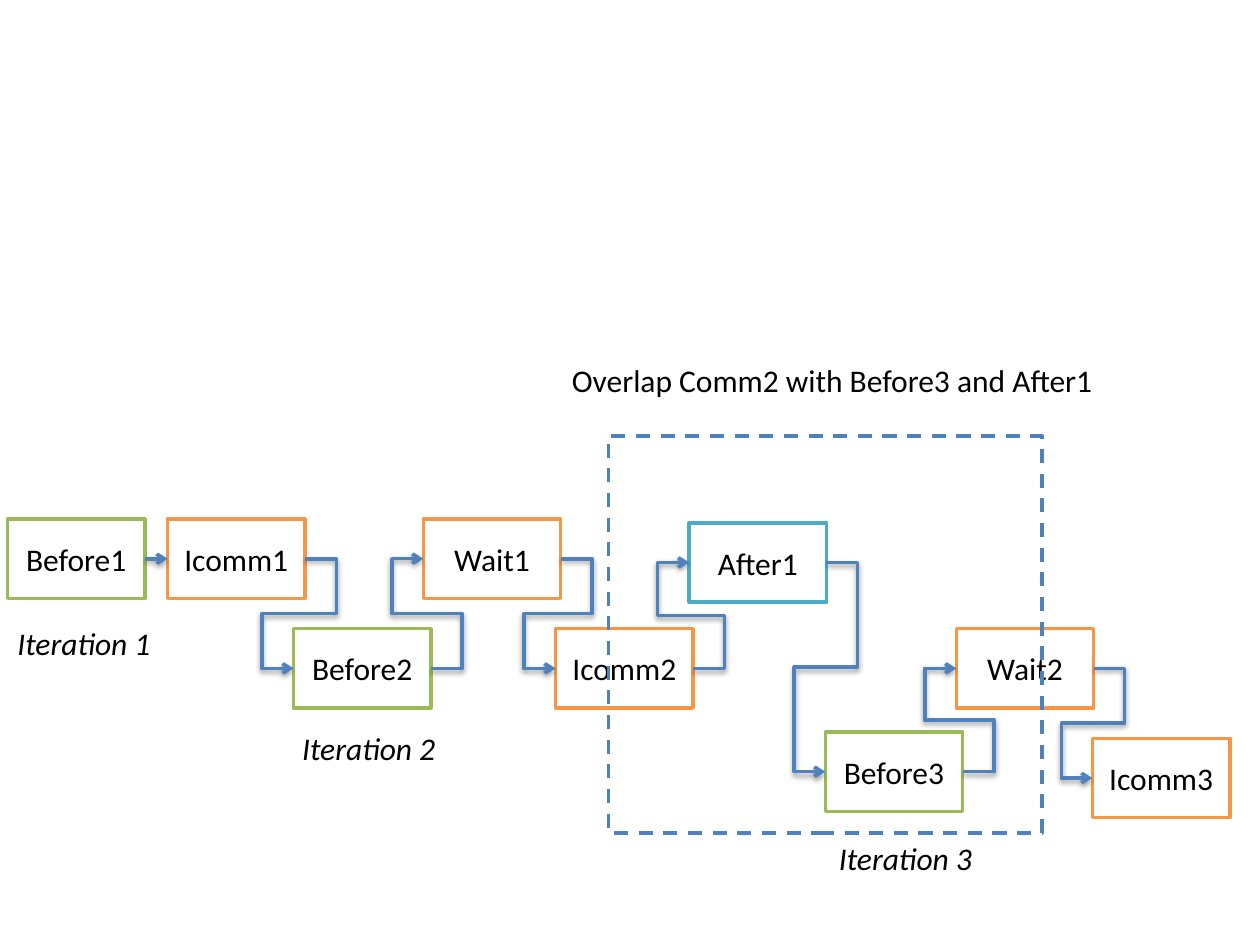
from dataclasses import dataclass

from lxml.etree import SubElement
from pptx import Presentation
from pptx.dml.color import RGBColor
from pptx.enum.dml import MSO_LINE
from pptx.enum.shapes import MSO_CONNECTOR as Connector, MSO_SHAPE as Shape
from pptx.enum.text import MSO_ANCHOR as Anchor, MSO_AUTO_SIZE as AutoSize, PP_ALIGN as Align
from pptx.oxml.ns import qn
from pptx.util import Inches, Pt


@dataclass(frozen=True)
class Theme:
    """Colours, type and line sizes of the slide."""
    font: str = "Calibri"
    size: int = 18
    line: int = 2
    text: str = "000000"
    flow: str = "4F81BD"
    before: str = "9BBB59"
    comm: str = "F79646"
    after: str = "4BACC6"


THEME = Theme()
SLIDE_SIZE = (10, 7.5)
BOX_SIZE = (1.09, 0.63)
STUB = 0.25  # how far an elbow runs out beside a box
LEFT, RIGHT = 1, 3  # connection sites of a rectangle

# Steps in the order they run: name, left, top, colour
STEPS = [
    ("Before1", 0.06, 4.12, THEME.before),
    ("Icomm1", 1.33, 4.12, THEME.comm),
    ("Before2", 2.33, 4.99, THEME.before),
    ("Wait1", 3.36, 4.12, THEME.comm),
    ("Icomm2", 4.41, 4.99, THEME.comm),
    ("After1", 5.47, 4.15, THEME.after),
    ("Before3", 6.55, 5.81, THEME.before),
    ("Wait2", 7.59, 4.99, THEME.comm),
    ("Icomm3", 8.67, 5.86, THEME.comm),
]
OVERLAP_FRAME = (4.83, 3.46, 3.44, 3.15)
# Labels: text, left, top, width, italic
LABELS = [
    ("Overlap Comm2 with Before3 and After1", 4.44, 2.82, 4.39, False),
    ("Iteration 1", 0.04, 4.9, 1.33, True),
    ("Iteration 2", 2.3, 5.74, 1.33, True),
    ("Iteration 3", 6.56, 6.61, 1.33, True),
]
LABEL_HEIGHT = 0.4


def write(shape, text, italic=False):
    """Put one formatted line of text in a shape."""
    shape.text_frame.text = text
    font = shape.text_frame.paragraphs[0].runs[0].font
    font.name, font.size, font.italic = THEME.font, Pt(THEME.size), italic or None
    font.color.rgb = RGBColor.from_string(THEME.text)


def draw_line(line, colour):
    """Set the colour and width of an outline or connector."""
    line.color.rgb = RGBColor.from_string(colour)
    line.width = Pt(THEME.line)


def add_outline(slide, left, top, width, height, colour):
    """Add an unfilled rectangle."""
    shape = slide.shapes.add_shape(Shape.RECTANGLE, *map(Inches, (left, top, width, height)))
    shape.shadow.inherit = False
    shape.fill.background()
    draw_line(shape.line, colour)
    return shape


def add_step(slide, name, left, top, colour):
    """Add the box of one step."""
    box = add_outline(slide, left, top, *BOX_SIZE, colour)
    write(box, name)
    box.text_frame.vertical_anchor = Anchor.MIDDLE
    box.text_frame.paragraphs[0].alignment = Align.CENTER
    return box


def add_label(slide, text, left, top, width, italic):
    """Add a label that does not wrap."""
    label = slide.shapes.add_textbox(*map(Inches, (left, top, width, LABEL_HEIGHT)))
    write(label, text, italic)
    label.text_frame.word_wrap = False
    label.text_frame.auto_size = AutoSize.SHAPE_TO_FIT_TEXT


def add_shadow(properties):
    """Give a connector a soft shadow below it."""
    effects = SubElement(properties, qn("a:effectLst"))
    shadow = SubElement(effects, qn("a:outerShdw"), blurRad="40000", dist="20000",
                        dir="5400000", rotWithShape="0")
    colour = SubElement(shadow, qn("a:srgbClr"), val="000000")
    SubElement(colour, qn("a:alpha"), val="38000")


def bend(connector):
    """Turn an elbow into a five-part one that leaves and enters sideways."""
    geometry = connector._element.spPr.find(qn("a:prstGeom"))
    geometry.set("prst", "bentConnector5")
    guides = geometry.find(qn("a:avLst"))
    if guides is None:
        guides = SubElement(geometry, qn("a:avLst"))
    reach = Inches(STUB) / connector.width
    for number, share in enumerate((-reach, 0.5, 1 + reach), 1):
        SubElement(guides, qn("a:gd"), name=f"adj{number}", fmla=f"val {round(share * 100000)}")


def connect(slide, source, target):
    """Run an arrow from the right of one box to the left of the next."""
    straight = source.top == target.top
    kind = Connector.STRAIGHT if straight else Connector.ELBOW
    connector = slide.shapes.add_connector(
        kind, source.left + source.width, source.top + source.height // 2,
        target.left, target.top + target.height // 2)
    connector.begin_connect(source, RIGHT)
    connector.end_connect(target, LEFT)
    if not straight:
        bend(connector)
    draw_line(connector.line, THEME.flow)
    properties = connector._element.spPr
    SubElement(properties.find(qn("a:ln")), qn("a:tailEnd"), type="arrow")
    add_shadow(properties)


def main():
    """Build and save the slide."""
    presentation = Presentation()
    presentation.slide_width, presentation.slide_height = map(Inches, SLIDE_SIZE)
    slide = presentation.slides.add_slide(presentation.slide_layouts[6])
    boxes = [add_step(slide, *step) for step in STEPS]
    frame = add_outline(slide, *OVERLAP_FRAME, THEME.flow)
    frame.line.dash_style = MSO_LINE.DASH
    for source, target in zip(boxes, boxes[1:]):
        connect(slide, source, target)
    for label in LABELS:
        add_label(slide, *label)
    presentation.save("out.pptx")


main()
